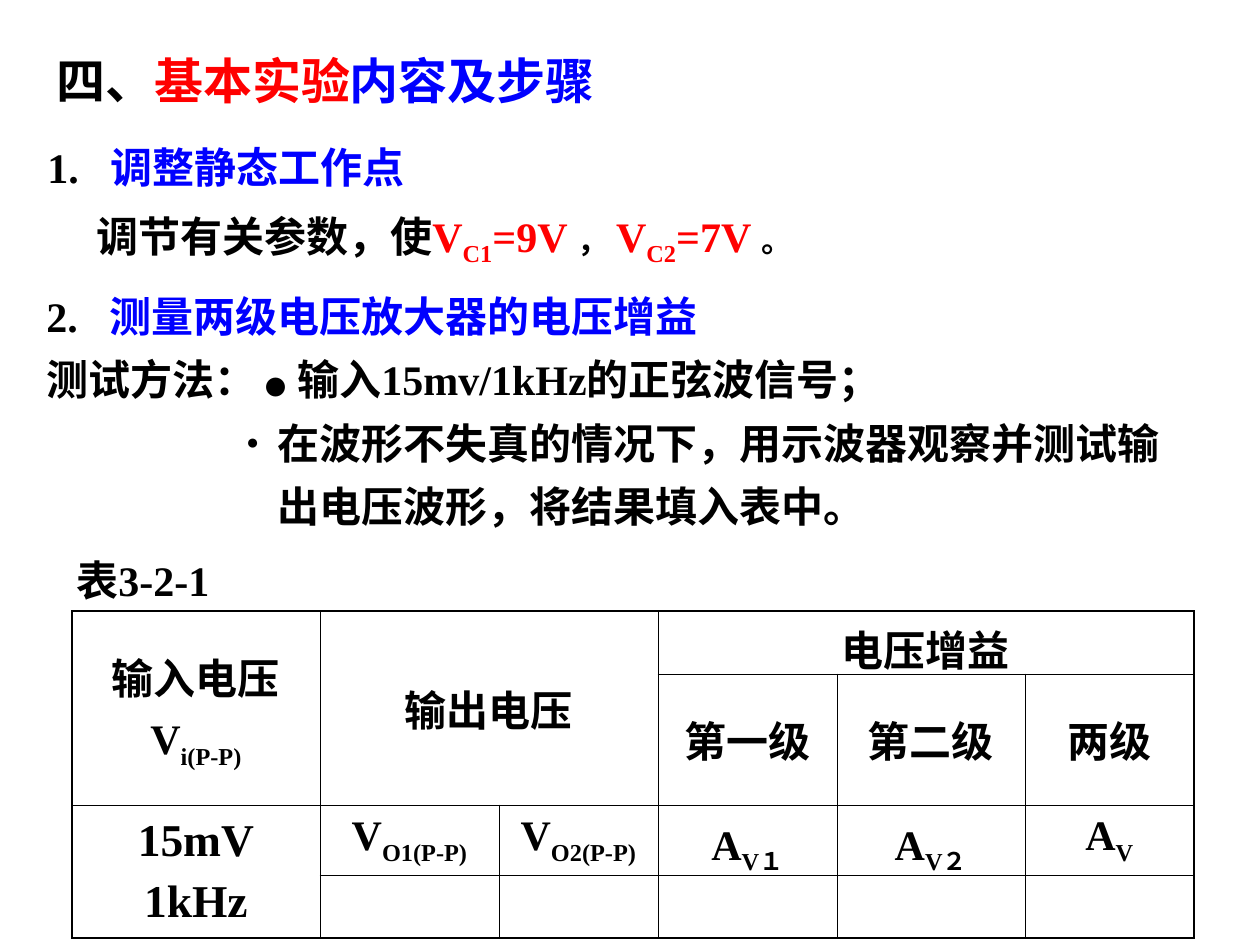
from dataclasses import dataclass
from typing import NamedTuple

from lxml.etree import SubElement
from pptx import Presentation
from pptx.dml.color import RGBColor
from pptx.enum.text import MSO_ANCHOR, MSO_AUTO_SIZE, PP_ALIGN
from pptx.oxml.ns import qn
from pptx.util import Pt

SCALE = 914400 / 126
COLORS = {"black": "000000", "red": "FF0000", "blue": "0000FF"}
SERIF, SANS = "Times New Roman", "DejaVu Sans"
OUTER_LINE, INNER_LINE = 1.08, 0.45


class Piece(NamedTuple):
    text: str
    color: str = "black"
    size: int = 24
    subscript: bool = False
    font: str = SERIF


@dataclass
class Line:
    pieces: list[Piece]
    space_before: float = 0
    tabs: tuple[int, ...] = ()
    margin: int = 0
    bullet_indent: int = 0


@dataclass
class TextBlock:
    left: int
    top: int
    width: int
    height: int
    lines: list[Line]


@dataclass
class TableEntry:
    row: int
    column: int
    lines: list[Line]
    row_span: int = 1
    column_span: int = 1


def emu(px: int) -> int:
    return round(px * SCALE)


def plain(text: str, size: int = 24, space_before: float = 0) -> Line:
    return Line([Piece(text, size=size)], space_before)


def symbol(letter: str, index: str, space_before: float = 0) -> Line:
    return Line([Piece(letter), Piece(index, subscript=True)], space_before)


def format_paragraph(paragraph, line: Line) -> None:
    paragraph.space_before = Pt(line.space_before)
    properties = paragraph._p.get_or_add_pPr()
    if line.margin:
        properties.set("marL", str(emu(line.margin)))
        properties.set("indent", str(-emu(line.bullet_indent)))
    if line.bullet_indent:
        SubElement(properties, qn("a:buSzPct"), val="50000")
        SubElement(properties, qn("a:buFont"), typeface=SERIF)
        SubElement(properties, qn("a:buChar"), char="●")
    if line.tabs:
        tab_list = SubElement(properties, qn("a:tabLst"))
        for position in line.tabs:
            SubElement(tab_list, qn("a:tab"), pos=str(emu(position)), algn="l")


def write_lines(text_frame, lines: list[Line]) -> None:
    for number, line in enumerate(lines):
        paragraph = text_frame.add_paragraph() if number else text_frame.paragraphs[0]
        format_paragraph(paragraph, line)
        for piece in line.pieces:
            run = paragraph.add_run()
            run.text = piece.text
            run.font.name = piece.font
            run.font.size = Pt(piece.size)
            run.font.bold = True
            run.font.color.rgb = RGBColor.from_string(COLORS[piece.color])
            if piece.subscript:
                run._r.get_or_add_rPr().set("baseline", "-25000")


def draw_text(slide, block: TextBlock) -> None:
    shape = slide.shapes.add_textbox(*map(emu, (block.left, block.top, block.width, block.height)))
    shape.text_frame.word_wrap = True
    shape.text_frame.auto_size = MSO_AUTO_SIZE.SHAPE_TO_FIT_TEXT
    write_lines(shape.text_frame, block.lines)


def draw_borders(cell, on_edge: dict[str, bool]) -> None:
    properties = cell._tc.get_or_add_tcPr()
    for position, (side, outer) in enumerate(on_edge.items()):
        border = properties.makeelement(qn(f"a:{side}"), {"w": str(Pt(OUTER_LINE if outer else INNER_LINE))})
        fill = SubElement(border, qn("a:solidFill"))
        SubElement(fill, qn("a:srgbClr"), val=COLORS["black"])
        properties.insert(position, border)


def draw_table(slide, left: int, top: int, widths: list[int], heights: list[int],
               entries: list[TableEntry]) -> None:
    frame = slide.shapes.add_table(len(heights), len(widths),
                                   *map(emu, (left, top, sum(widths), sum(heights))))
    table = frame.table
    table.first_row = table.horz_banding = False
    for column, width in zip(table.columns, widths):
        column.width = emu(width)
    for row, height in zip(table.rows, heights):
        row.height = emu(height)
    for cell in table.iter_cells():
        cell.fill.background()
    for entry in entries:
        row, column = entry.row, entry.column
        last_row, last_column = row + entry.row_span - 1, column + entry.column_span - 1
        cell = table.cell(row, column)
        if (last_row, last_column) != (row, column):
            cell.merge(table.cell(last_row, last_column))
        cell.vertical_anchor = MSO_ANCHOR.MIDDLE
        write_lines(cell.text_frame, entry.lines)
        for paragraph in cell.text_frame.paragraphs:
            paragraph.alignment = PP_ALIGN.CENTER
        draw_borders(cell, {
            "lnL": column == 0,
            "lnR": last_column == len(widths) - 1,
            "lnT": row == 0,
            "lnB": last_row == len(heights) - 1,
        })


TEXT_BLOCKS = [
    TextBlock(44, 44, 722, 72, [
        Line([Piece("四、", size=28), Piece("基本实验", "red", 28), Piece("内容及步骤", "blue", 28)]),
    ]),
    TextBlock(35, 135, 1181, 63, [
        Line([Piece("1.\t"), Piece("调整静态工作点", "blue")], tabs=(63,)),
    ]),
    TextBlock(84, 204, 912, 71, [
        Line([
            Piece("调节有关参数，使"),
            Piece("V", "red"), Piece("C1", "red", subscript=True), Piece("=9V ", "red"),
            Piece("， ", size=18, font=SANS),
            Piece("V", "red"), Piece("C2", "red", subscript=True), Piece("=7V ", "red"),
            Piece("。", size=18, font=SANS),
        ]),
    ]),
    TextBlock(64, 548, 228, 63, [plain("表3-2-1")]),
    TextBlock(34, 284, 1181, 305, [
        Line([Piece("2.\t"), Piece("测量两级电压放大器的电压增益", "blue")], tabs=(63,)),
        Line([Piece("测试方法：\t"), Piece("●\t", size=12), Piece("输入15mv/1kHz的正弦波信号；")],
             7.5, tabs=(219, 251)),
        Line([Piece("在波形不失真的情况下，用示波器观察并测试输")], 7.5, margin=231, bullet_indent=31),
        Line([Piece("出电压波形，将结果填入表中。")], 7.5, margin=231),
    ]),
]

GAIN_STAGES = ["第一级", "第二级", "两级"]
MEASURED = [("V", "O1(P-P)"), ("V", "O2(P-P)"), ("A", "V１"), ("A", "V２"), ("A", "V")]
TABLE_ENTRIES = [
    TableEntry(0, 0, [plain("输入电压"), symbol("V", "i(P-P)", 6)], row_span=2),
    TableEntry(0, 1, [plain("输出电压")], row_span=2, column_span=2),
    TableEntry(0, 3, [plain("电压增益")], column_span=3),
    *(TableEntry(1, column, [plain(stage)]) for column, stage in enumerate(GAIN_STAGES, 3)),
    TableEntry(2, 0, [plain("15mV", 26), plain("1kHz", 26, 6.5)], row_span=2),
    *(TableEntry(2, column, [symbol(*names)]) for column, names in enumerate(MEASURED, 1)),
    *(TableEntry(3, column, []) for column in range(1, 6)),
]


def main() -> None:
    """Build the slide on the basic experiment steps and its gain table."""
    presentation = Presentation()
    presentation.slide_width, presentation.slide_height = emu(1260), emu(945)
    slide = presentation.slides.add_slide(presentation.slide_layouts[6])
    for block in TEXT_BLOCKS:
        draw_text(slide, block)
    draw_table(slide, 72, 611, [248, 179, 159, 179, 188, 169], [63, 131, 70, 63], TABLE_ENTRIES)
    presentation.save("out.pptx")


if __name__ == "__main__":
    main()
